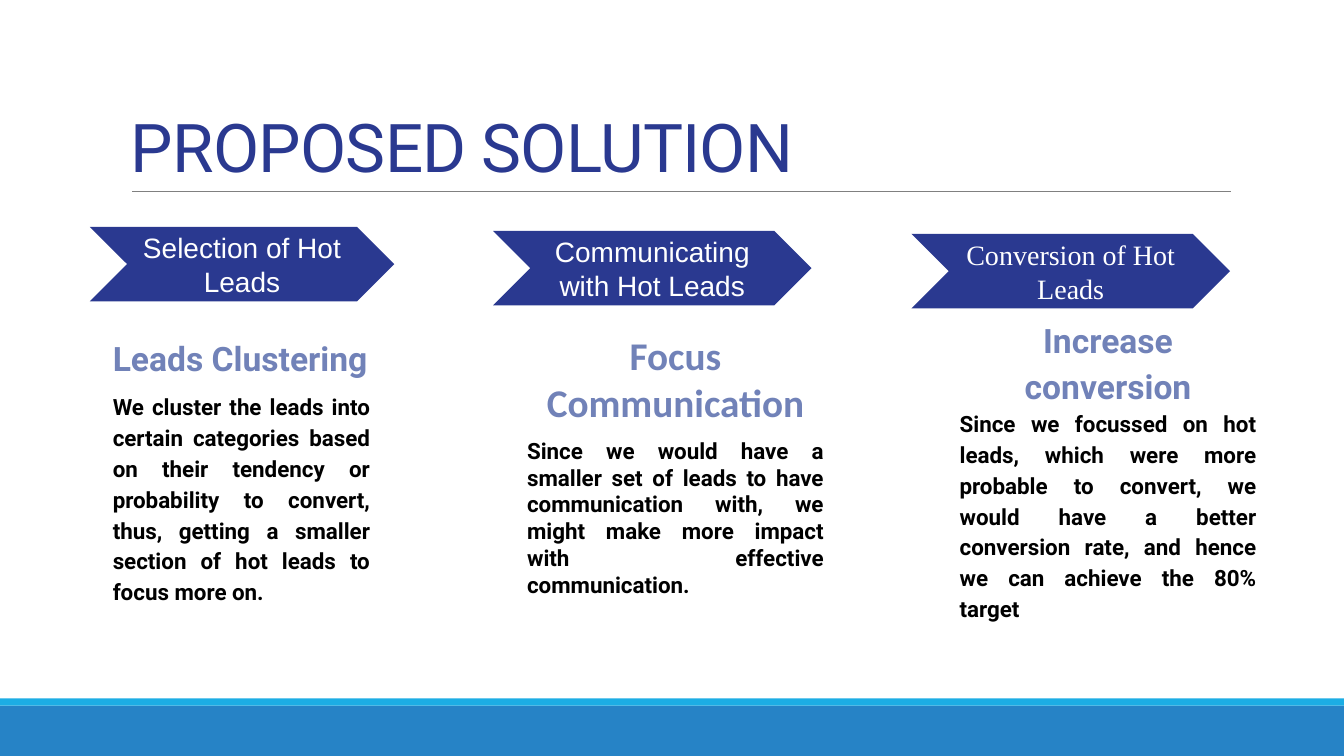
from pptx import Presentation
from pptx.dml.color import RGBColor
from pptx.enum.shapes import MSO_CONNECTOR, MSO_SHAPE
from pptx.enum.text import MSO_ANCHOR, PP_ALIGN
from pptx.oxml.ns import qn
from pptx.util import Inches, Pt
from lxml import etree

RECT, CHEVRON, STRAIGHT = MSO_SHAPE.RECTANGLE, MSO_SHAPE.CHEVRON, MSO_CONNECTOR.STRAIGHT
LEFT, CENTER, JUSTIFY = PP_ALIGN.LEFT, PP_ALIGN.CENTER, PP_ALIGN.JUSTIFY
MIDDLE, BOTTOM = MSO_ANCHOR.MIDDLE, MSO_ANCHOR.BOTTOM

NAVY = RGBColor(0x2A, 0x39, 0x90)
PERIWINKLE = RGBColor(0x71, 0x82, 0xB8)
BLUE = RGBColor(0x26, 0x83, 0xC6)
CYAN = RGBColor(0x1C, 0xAD, 0xE4)
GRAY = RGBColor(0x80, 0x80, 0x80)
BLACK = RGBColor(0, 0, 0)
WHITE = RGBColor(0xFF, 0xFF, 0xFF)

SLIDE_W, SLIDE_H = 13.33, 7.5
CHEVRON_H = 0.74

# Each step: chevron box (left, top, width), its label and font,
# text box (left, top, width, height), heading (text, font, size, alignment),
# body text, line spacing, space around the body
STEPS = [
    ((0.89, 2.25, 3.02), "Selection of Hot Leads", "Arial",
     (1.02, 3.24, 2.75, 2.82), ("Leads Clustering", "Roboto", 24, LEFT),
     "We cluster the leads into certain categories based on their tendency or "
     "probability to convert, thus, getting a smaller section of hot leads to "
     "focus more on.", 1.15, 8),
    ((4.89, 2.29, 3.16), "Communicating with Hot Leads", "Arial",
     (5.13, 3.24, 3.14, 2.77), ("Focus Communication", "Calibri", 28, CENTER),
     "Since we would have a smaller set of leads to have communication with, "
     "we might make more impact with effective communication.", 1.0, 8),
    ((9.04, 2.32, 3.16), "Conversion of Hot Leads", "Times New Roman",
     (9.42, 3.06, 3.14, 3.18), ("Increase conversion", "Roboto", 24, CENTER),
     "Since we focussed on hot leads, which were more probable to convert, we "
     "would have a better conversion rate, and hence we can achieve the 80% "
     "target", 1.15, 0),
]


def add_block(slide, shape_type, box, fill):
    sp = slide.shapes.add_shape(shape_type, *map(Inches, box))
    sp.shadow.inherit = False
    sp.fill.solid()
    sp.fill.fore_color.rgb = fill
    sp.line.fill.background()
    return sp


def add_text(slide, box):
    tf = slide.shapes.add_textbox(*map(Inches, box)).text_frame
    tf.word_wrap = True
    return tf


def write(p, text, font, size, color, align=LEFT, bold=False, spacing=1.0, around=0):
    """Fill a paragraph with one run; around is the space before and after."""
    p.alignment = align
    p.line_spacing = spacing
    p.space_before = p.space_after = Pt(around)
    r = p.add_run()
    r.text = text
    r.font.name, r.font.size, r.font.bold = font, Pt(size), bold
    r.font.color.rgb = color
    return r


def add_footer(slide, top, stripe_h):
    """Draw the band down to the slide's bottom, with a thin stripe above it."""
    add_block(slide, RECT, (0, top, SLIDE_W, SLIDE_H - top), BLUE)
    add_block(slide, RECT, (0, top - stripe_h, SLIDE_W, stripe_h), CYAN)


def add_title(slide, text, box):
    left, top, width, height = box
    rule_y = Inches(top + height)
    rule = slide.shapes.add_connector(
        STRAIGHT, Inches(left + 0.11), rule_y, Inches(left + width + 0.01), rule_y)
    rule.line.color.rgb = GRAY
    rule.line.width = Pt(0.5)
    etree.SubElement(rule._element.spPr, qn("a:effectLst"))
    tf = add_text(slide, box)
    tf.vertical_anchor = BOTTOM
    r = write(tf.paragraphs[0], text, "Roboto", 48, NAVY, spacing=0.85)
    r.font._element.set("spc", "-50")


def add_chevron(slide, box, label, font):
    sp = add_block(slide, CHEVRON, (*box, CHEVRON_H), NAVY)
    sp.adjustments[0] = 0.5
    tf = sp.text_frame
    tf.word_wrap = True
    tf.vertical_anchor = MIDDLE
    tf.margin_left = tf.margin_right = tf.margin_top = tf.margin_bottom = Inches(0.13)
    write(tf.paragraphs[0], label, font, 20, WHITE, CENTER)


def add_step(slide, chevron_box, label, label_font, text_box, heading, body, spacing, around):
    add_chevron(slide, chevron_box, label, label_font)
    tf = add_text(slide, text_box)
    text, font, size, align = heading
    write(tf.paragraphs[0], text, font, size, PERIWINKLE, align, True, spacing)
    write(tf.add_paragraph(), body, "Roboto", 16, BLACK, JUSTIFY, True, spacing, around)


def main():
    prs = Presentation()
    prs.slide_width, prs.slide_height = Inches(SLIDE_W), Inches(SLIDE_H)
    slide = prs.slides.add_slide(prs.slide_layouts[6])
    add_footer(slide, 7, 0.07)
    add_title(slide, "PROPOSED SOLUTION", (1.2, 0.31, 11, 1.59))
    for step in STEPS:
        add_step(slide, *step)
    prs.save("out.pptx")


if __name__ == "__main__":
    main()
